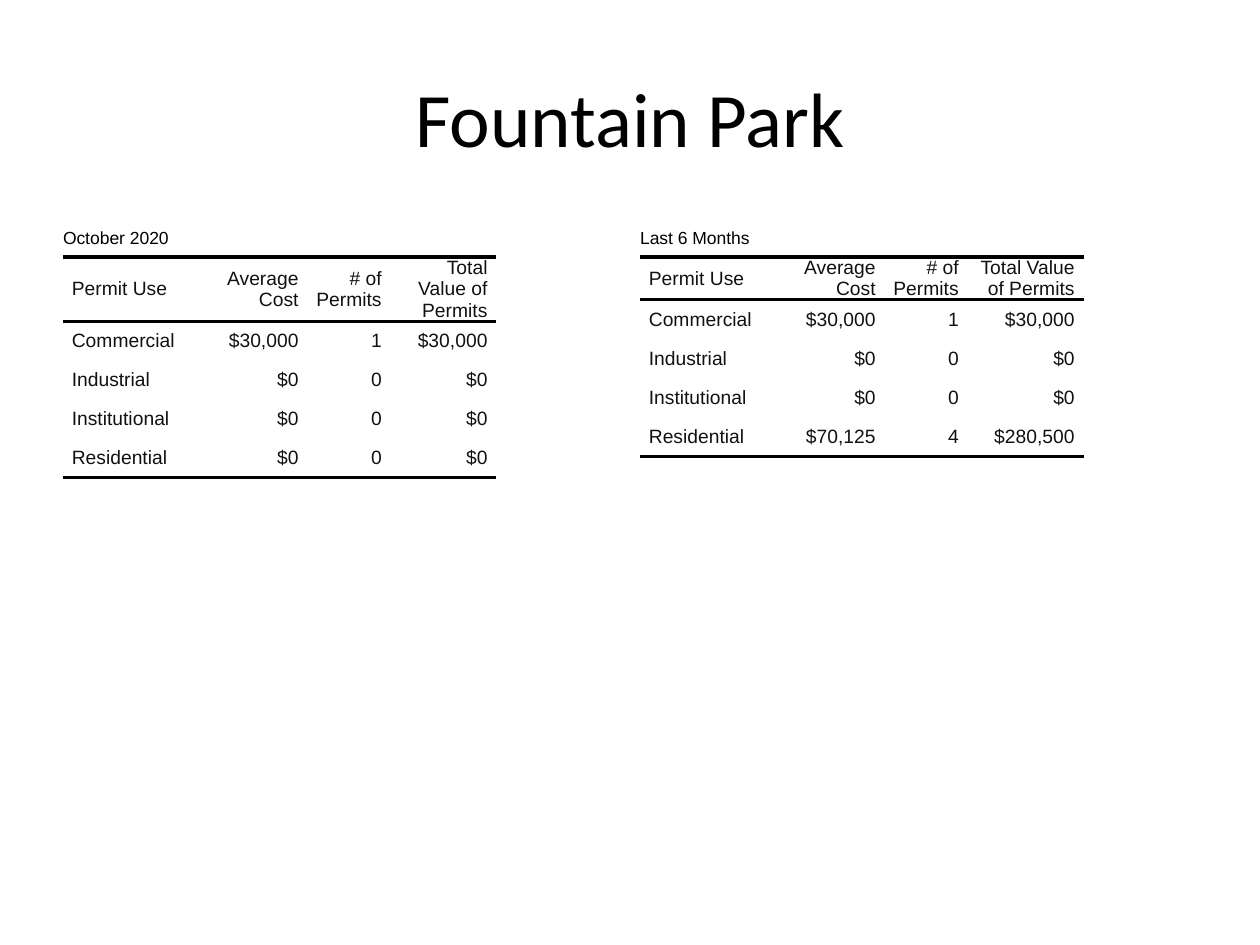
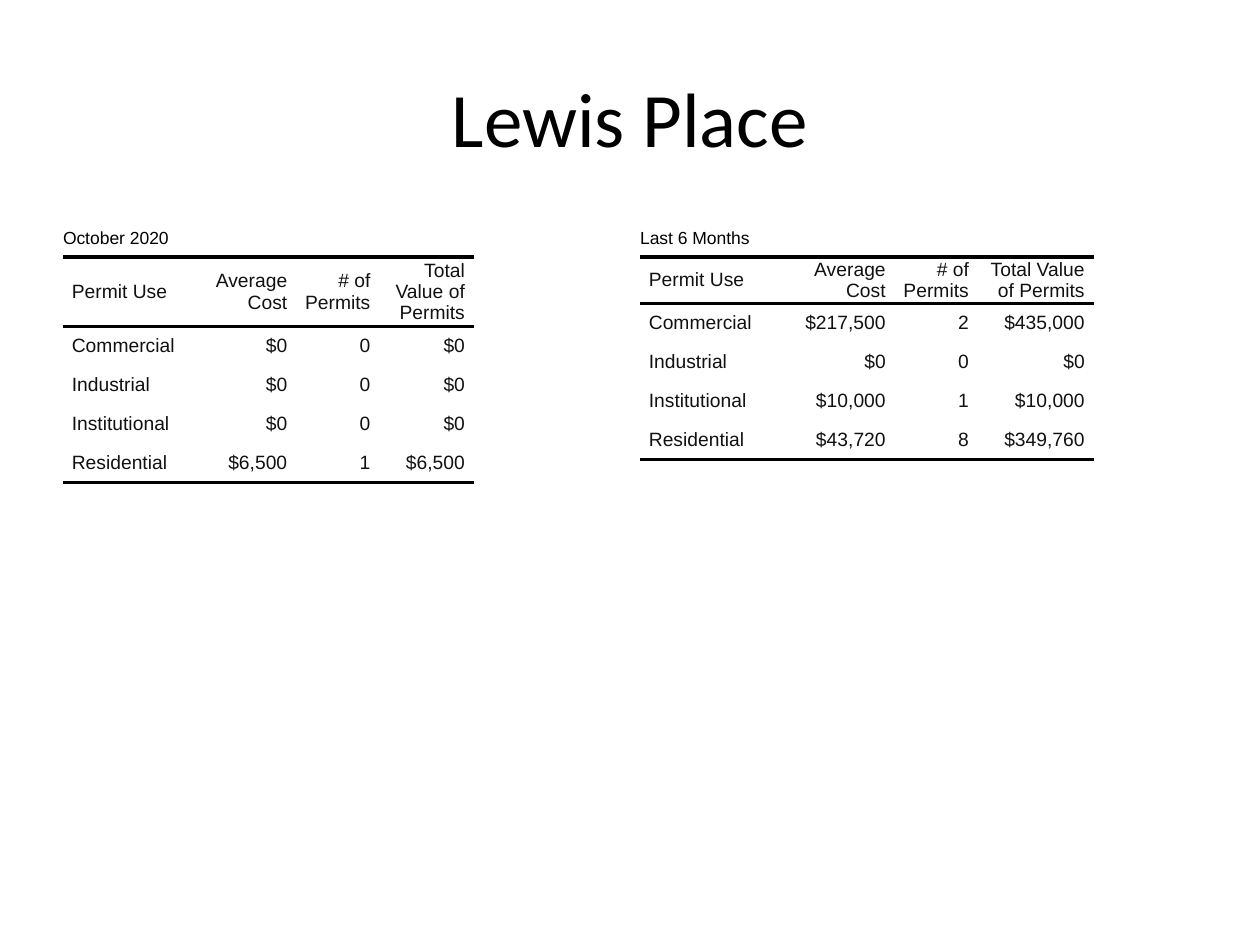
from lxml.etree import SubElement
from pptx import Presentation
from pptx.dml.color import RGBColor
from pptx.enum.text import MSO_ANCHOR, PP_ALIGN
from pptx.oxml.ns import qn
from pptx.util import Inches, Pt

# Shared look
BLACK = "000000"
BODY_INK = "111111"
TITLE_FONT, TABLE_FONT = "Calibri", "Arial"
RULE_WIDTH = Pt(2)
PLAIN_STYLE = "{2D5ABB26-0587-4C30-8999-92F81FD0307C}"

# Table grid, in inches
TABLE_TOP = 1.75
HEADING_HEIGHT, BODY_HEIGHT = 0.29, 0.31
USE_WIDTH, COUNT_WIDTH = 1.1, 0.66
AMOUNT_WIDTHS = {6: 0.75, 7: 0.84, 8: 0.92}  # by length of the longest amount
CELL_INDENT = 0.07

HEADINGS = ("Permit Use", "Average Cost", "# of Permits", "Total Value of Permits")
PERMIT_USES = ("Commercial", "Industrial", "Institutional", "Residential")
PERIODS = (("October 2020", 0.5), ("Last 6 Months", 5.08))
NO_PERMITS = ("$0", "0", "$0")

# One (average cost, permits, total value) per permit use, for each period
NEIGHBORHOODS = {
    "Fountain Park": (
        (("$30,000", "1", "$30,000"), NO_PERMITS, NO_PERMITS, NO_PERMITS),
        (("$30,000", "1", "$30,000"), NO_PERMITS, NO_PERMITS,
         ("$70,125", "4", "$280,500")),
    ),
    "Lewis Place": (
        (NO_PERMITS, NO_PERMITS, NO_PERMITS, ("$6,500", "1", "$6,500")),
        (("$217,500", "2", "$435,000"), NO_PERMITS,
         ("$10,000", "1", "$10,000"), ("$43,720", "8", "$349,760")),
    ),
}


def color(hex_value):
    return RGBColor.from_string(hex_value)


def write(frame, text, font, size, ink, align):
    frame.text = text
    paragraph = frame.paragraphs[0]
    paragraph.alignment = align
    run_font = paragraph.runs[0].font
    run_font.name, run_font.size = font, Pt(size)
    run_font.color.rgb = color(ink)


def add_title(slide, text):
    title = slide.shapes.add_textbox(Inches(0.5), Inches(0.3), Inches(9), Inches(1.25))
    title.text_frame.word_wrap = True
    title.text_frame.vertical_anchor = MSO_ANCHOR.MIDDLE
    write(title.text_frame, text, TITLE_FONT, 44, BLACK, PP_ALIGN.CENTER)


def add_rules(cell, sides):
    properties = cell._tc.get_or_add_tcPr()
    for side in sides:
        rule = SubElement(properties, qn(f"a:ln{side}"), w=str(RULE_WIDTH))
        fill = SubElement(rule, qn("a:solidFill"))
        SubElement(fill, qn("a:srgbClr"), val=BLACK)


def fill_cell(cell, text, size=11, ink=BODY_INK, align=PP_ALIGN.LEFT,
              indent=CELL_INDENT, rules=""):
    cell.margin_left = cell.margin_right = Inches(indent)
    cell.margin_top = cell.margin_bottom = 0
    cell.vertical_anchor = MSO_ANCHOR.MIDDLE
    add_rules(cell, rules)
    cell.fill.background()
    write(cell.text_frame, text, TABLE_FONT, size, ink, align)


def amount_width(amounts):
    return AMOUNT_WIDTHS[max(6, *map(len, amounts))]


def add_permit_table(slide, period, left, figures):
    costs, _, totals = zip(*figures)
    widths = (USE_WIDTH, amount_width(costs), COUNT_WIDTH, amount_width(totals))
    heights = [HEADING_HEIGHT] * 2 + [BODY_HEIGHT] * len(figures)
    table = slide.shapes.add_table(
        len(heights), len(widths), Inches(left), Inches(TABLE_TOP),
        Inches(sum(widths)), Inches(sum(heights))).table
    table.first_row = table.horz_banding = False
    table._tbl.tblPr.find(qn("a:tableStyleId")).text = PLAIN_STYLE
    for column, width in zip(table.columns, widths):
        column.width = Inches(width)
    for row, height in zip(table.rows, heights):
        row.height = Inches(height)

    # Period caption across the top
    caption = table.cell(0, 0)
    caption.merge(table.cell(0, len(widths) - 1))
    fill_cell(caption, period, size=10, ink=BLACK, indent=0)

    # Headings and one row per permit use
    lines = [HEADINGS] + [(use, *row) for use, row in zip(PERMIT_USES, figures)]
    rules = {1: "TB", len(figures) + 1: "B"}
    for row, line in enumerate(lines, start=1):
        for column, text in enumerate(line):
            align = PP_ALIGN.RIGHT if column else PP_ALIGN.LEFT
            fill_cell(table.cell(row, column), text, align=align,
                      rules=rules.get(row, ""))


def main():
    deck = Presentation()
    deck.slide_width, deck.slide_height = Inches(10), Inches(7.5)
    for neighborhood, tables in NEIGHBORHOODS.items():
        slide = deck.slides.add_slide(deck.slide_layouts[6])
        for (period, left), figures in zip(PERIODS, tables):
            add_permit_table(slide, period, left, figures)
        add_title(slide, neighborhood)
    deck.save("out.pptx")


if __name__ == "__main__":
    main()
